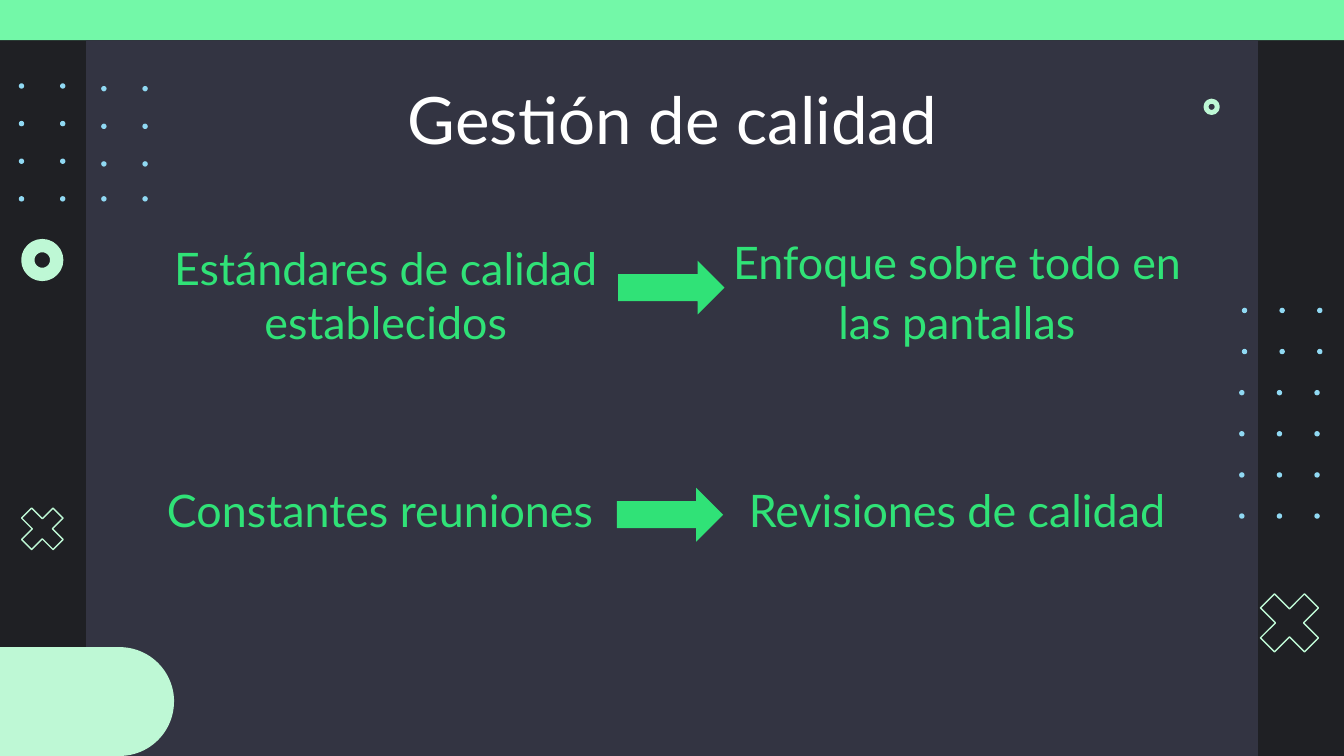
from dataclasses import dataclass

from pptx import Presentation
from pptx.dml.color import RGBColor
from pptx.enum.shapes import MSO_SHAPE
from pptx.enum.text import MSO_ANCHOR, PP_ALIGN
from pptx.util import Inches, Pt


@dataclass(frozen=True)
class Theme:
    """Colours, font and type sizes of the deck."""
    back: str = "1F2024"
    panel: str = "333442"
    bar: str = "73F8A8"
    mint: str = "BEF8D5"
    dot: str = "90D9F3"
    green: str = "30E277"
    white: str = "FFFFFF"
    font: str = "Lato"
    head: int = 35
    body: int = 24


@dataclass(frozen=True)
class Box:
    """Area in grid cells, each a tenth of the slide's width."""
    left: float
    top: float
    width: float
    height: float

    def sub(self, left, top, width, height):
        """Return a box placed from this box's corner."""
        return Box(self.left + left, self.top + top, width, height)

    def emu(self):
        """Return the four lengths for python-pptx."""
        return [Inches(n * CELL) for n in (self.left, self.top, self.width, self.height)]


THEME = Theme()
CELL = 1
PAGE = Box(0, 0, 10, 10 * 9 / 16)


def tint(name):
    """Turn a hex name into a colour."""
    return RGBColor.from_string(name)


def draw(shapes, kind, box, fill=None, line=None, width=0.75, adj=(), turn=0):
    """Draw one preset shape."""
    item = shapes.add_shape(kind, *box.emu())
    item.shadow.inherit = False
    item.rotation = turn
    for spot, value in enumerate(adj):
        item.adjustments[spot] = value
    if fill:
        item.fill.solid()
        item.fill.fore_color.rgb = tint(fill)
    else:
        item.fill.background()
    if line:
        item.line.color.rgb = tint(line)
        item.line.width = Pt(width)
    else:
        item.line.fill.background()
    return item


def write(item, text, size, color, anchor, space=None):
    """Set one centred paragraph in a shape."""
    frame = item.text_frame
    frame.word_wrap = True
    frame.vertical_anchor = anchor
    frame.margin_left = frame.margin_right = Inches(0.1)
    frame.margin_top = frame.margin_bottom = Inches(0.1)
    para = frame.paragraphs[0]
    para.alignment = PP_ALIGN.CENTER
    if space:
        para.line_spacing = space
    run = para.add_run()
    run.text = text
    run.font.size = Pt(size)
    run.font.name = THEME.font
    run.font.color.rgb = tint(color)


def frame(slide, box):
    """Lay the top bar, the panel and the rounded corner."""
    bar = 0.3
    draw(slide.shapes, MSO_SHAPE.RECTANGLE, box.sub(0, 0, box.width, bar), THEME.bar)
    side = 0.64
    panel = box.sub(side, bar, box.width - 2 * side, box.height - bar)
    draw(slide.shapes, MSO_SHAPE.RECTANGLE, panel, THEME.panel)
    draw(slide.shapes, MSO_SHAPE.ROUND_2_SAME_RECTANGLE, box.sub(0.24, 4.57, 0.81, 1.3),
         THEME.mint, adj=(0.5, 0), turn=90)


def marks(slide, box):
    """Place the rings and crosses at the sides."""
    for left, top, size, width in ((0.2, 1.82, 0.23, 6), (8.97, 0.75, 0.09, 2.25)):
        draw(slide.shapes, MSO_SHAPE.DONUT, box.sub(left, top, size, size),
             line=THEME.mint, width=width, adj=(0.066,))
    for left, top, size in ((9.28, 4.32, 0.63), (0.09, 3.71, 0.45)):
        draw(slide.shapes, MSO_SHAPE.MATH_MULTIPLY, box.sub(left, top, size, size),
             line=THEME.mint, adj=(0.235,))


def dots(slide, box, cols, rows, shift):
    """Spread a group of dots over a box, nudged by the shift rule."""
    group = slide.shapes.add_group_shape()
    size = 0.04
    wide = (box.width - size) / (cols - 1)
    high = (box.height - size) / (rows - 1)
    for row in range(rows):
        for col in range(cols):
            right, down = shift(col, row)
            draw(group.shapes, MSO_SHAPE.OVAL,
                 box.sub(col * wide + right, row * high + down, size, size), THEME.dot)


def title(slide, box, text):
    """Place the title above the panel."""
    item = slide.shapes.title
    item.left, item.top, item.width, item.height = box.emu()
    write(item, text, THEME.head, THEME.white, MSO_ANCHOR.TOP)
    slide.shapes._spTree.append(item._element)


def pair(slide, box, first, last, arrow, space=None):
    """Set two texts with an arrow between them."""
    wide = 3.58
    for left, text, gap in ((0, first, None), (box.width - wide, last, space)):
        area = box.sub(left, 0, wide, box.height)
        item = slide.shapes.add_textbox(*area.emu())
        write(item, text, THEME.body, THEME.green, MSO_ANCHOR.BOTTOM, gap)
    draw(slide.shapes, MSO_SHAPE.RIGHT_ARROW, box.sub(*arrow, 0.79, 0.4), THEME.green)


def main():
    """Build and save the slide."""
    deck = Presentation()
    _, _, deck.slide_width, deck.slide_height = PAGE.emu()
    slide = deck.slides.add_slide(deck.slide_layouts[5])
    slide.background.fill.solid()
    slide.background.fill.fore_color.rgb = tint(THEME.back)
    frame(slide, PAGE)
    marks(slide, PAGE)
    dots(slide, PAGE.sub(0.14, 0.62, 0.96, 0.88), 4, 4,
         lambda col, row: (0, 0.02 if col > 1 and row < 3 else 0))
    dots(slide, PAGE.sub(9.22, 2.29, 0.6, 1.57), 3, 6,
         lambda col, row: (0.02 if row < 2 else 0, 0))
    title(slide, PAGE.sub(0.79, 0.49, 8.43, 0.63), "Gestión de calidad")
    pair(slide, PAGE.sub(1.08, 2.06, 7.83, 0.63), "Estándares de calidad establecidos",
         "Enfoque sobre todo en las pantallas", (3.52, -0.12), 1.1)
    pair(slide, PAGE.sub(1.08, 3.46, 7.83, 0.63), "Constantes reuniones ",
         "Revisiones de calidad", (3.51, 0.17))
    deck.save("out.pptx")


if __name__ == "__main__":
    main()
